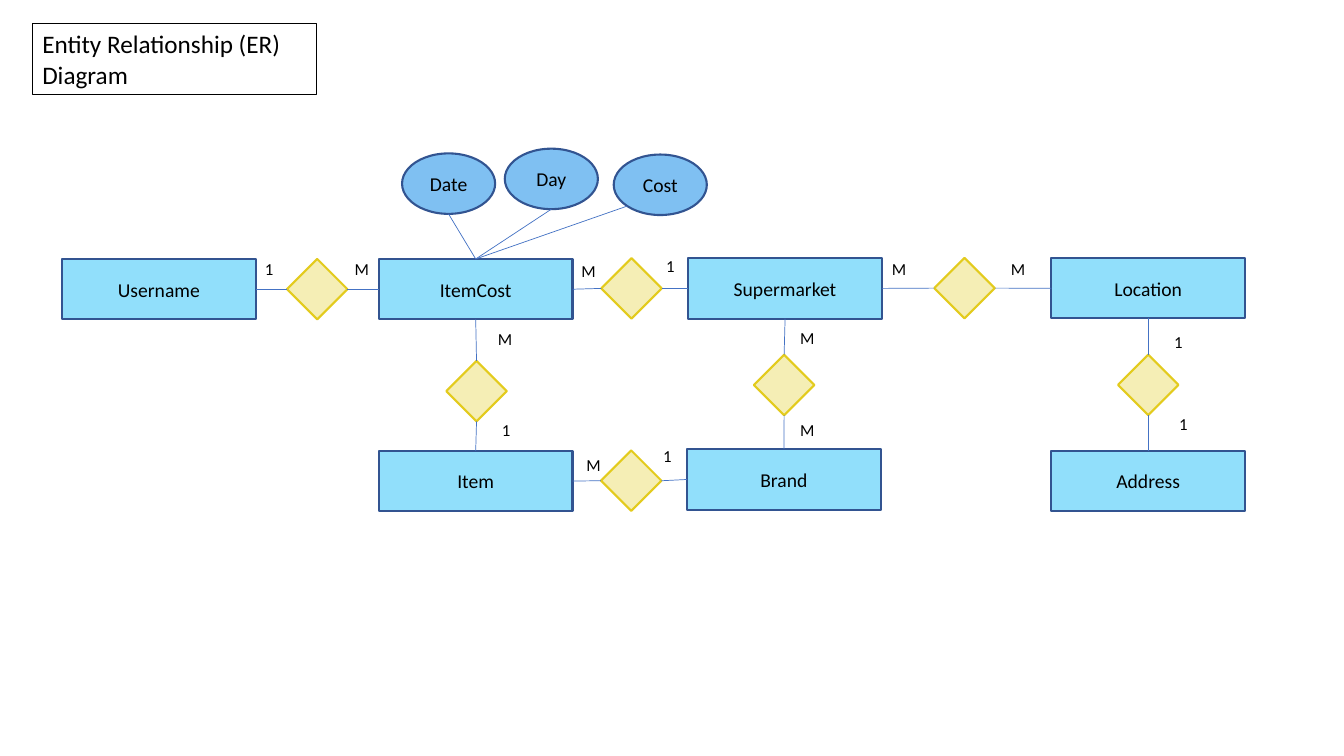
import pptx
import pptx.dml.color
import pptx.enum.shapes
import pptx.enum.text
import pptx.oxml.ns
import pptx.util
from lxml import etree

Pt = pptx.util.Pt
SHAPES = pptx.enum.shapes.MSO_SHAPE
ALIGN = pptx.enum.text.PP_ALIGN
ANCHOR = pptx.enum.text.MSO_ANCHOR
TOP, LEFT, BOTTOM, RIGHT = range(4)

COLORS = {
    "text": "000000",
    "entity": "24C0F8",
    "attribute": "0083E6",
    "outline": "325491",
    "diamond": "EDDE6D",
    "diamond_outline": "E3CB1D",
    "connector": "4472C4",
}

HEIGHT = 43.2  # shared by entities, diamonds and attributes
ENTITY_WIDTH = 138.4
ATTRIBUTE_WIDTH = 66.5

# name: left, top
ENTITIES = {
    "Username": (44.4, 185),
    "ItemCost": (270.6, 185),
    "Supermarket": (491.6, 184.4),
    "Location": (751, 184.3),
    "Item": (270.6, 322),
    "Brand": (490.8, 320.9),
    "Address": (751, 322),
}

# first entity, its side, second entity, its side, diamond position,
# then the cardinality at each end: text, left, top
RELATIONSHIPS = [
    ("Username", RIGHT, "ItemCost", LEFT, (205, 185),
     ("1", 182.2, 181.4), ("M", 246.2, 181.4)),
    ("ItemCost", RIGHT, "Supermarket", LEFT, (429.5, 184.4),
     ("M", 408.2, 182.5), ("1", 468.7, 179.3)),
    ("Supermarket", RIGHT, "Location", LEFT, (667.4, 184.2),
     ("M", 630, 181.4), ("M", 715, 181.4)),
    ("ItemCost", BOTTOM, "Item", TOP, (318.8, 257.8),
     ("M", 348.5, 231.1), ("1", 351.4, 295.9)),
    ("Supermarket", BOTTOM, "Brand", TOP, (538.5, 253.4),
     ("M", 564.5, 230.4), ("M", 564.5, 296.6)),
    ("Location", BOTTOM, "Address", TOP, (798.6, 253.4),
     ("1", 831.6, 233.3), ("1", 835.2, 292.3)),
    ("Item", RIGHT, "Brand", LEFT, (429.3, 321.8),
     ("M", 411.8, 321.1), ("1", 466.6, 314.6)),
]

# name: left, top, point where its line meets the ellipse
ATTRIBUTES = {
    "Date": (287.2, 109.6, (320.4, 152.8)),
    "Day": (360.6, 106.2, (393.9, 149.4)),
    "Cost": (438.4, 110.4, (448.1, 147.2)),
}


def color(name):
    return pptx.dml.color.RGBColor.from_string(COLORS[name])


def write(shape, text, size, align, anchor):
    frame = shape.text_frame
    frame.text = text
    frame.word_wrap = True
    frame.vertical_anchor = anchor
    paragraph = frame.paragraphs[0]
    paragraph.alignment = align
    font = paragraph.runs[0].font
    font.name = "Calibri"
    font.size = Pt(size)
    font.color.rgb = color("text")


def add_figure(slide, kind, left, top, width, fill, outline, text=None):
    """Add a half-transparent outlined shape, labelled if text is given."""
    shape = slide.shapes.add_shape(kind, Pt(left), Pt(top), Pt(width), Pt(HEIGHT))
    shape.shadow.inherit = False
    shape.fill.solid()
    shape.fill.fore_color.rgb = color(fill)
    qn = pptx.oxml.ns.qn
    fill_color = shape.fill._xPr.find(qn("a:solidFill")).find(qn("a:srgbClr"))
    etree.SubElement(fill_color, qn("a:alpha"), val="50000")
    shape.line.color.rgb = color(outline)
    shape.line.width = Pt(1.5)
    if text:
        write(shape, text, 14, ALIGN.CENTER, ANCHOR.MIDDLE)
    return shape


def add_line(slide, target, side, source=None, source_side=None, start=(0, 0)):
    """Join the target's side to a source shape's side or to a start point."""
    connector = slide.shapes.add_connector(
        pptx.enum.shapes.MSO_CONNECTOR.STRAIGHT,
        Pt(start[0]), Pt(start[1]), Pt(0), Pt(0))
    if source is not None:
        connector.begin_connect(source, source_side)
    connector.end_connect(target, side)
    connector.line.color.rgb = color("connector")
    connector.line.width = Pt(0.5)
    etree.SubElement(connector._element.spPr, pptx.oxml.ns.qn("a:effectLst"))


def add_cardinality(slide, text, left, top):
    box = slide.shapes.add_textbox(Pt(left), Pt(top), Pt(14.4), Pt(21.8))
    write(box, text, 12, ALIGN.LEFT, ANCHOR.TOP)


def add_title(slide, text):
    title = slide.shapes.title
    title.left, title.top = Pt(23), Pt(16.8)
    title.width, title.height = Pt(203.2), Pt(50.9)
    write(title, text, 18, ALIGN.LEFT, ANCHOR.TOP)
    title.text_frame.auto_size = pptx.enum.text.MSO_AUTO_SIZE.NONE
    title.line.color.rgb = color("text")
    title.line.width = Pt(0.75)


def main():
    presentation = pptx.Presentation()
    presentation.slide_width = Pt(960)
    presentation.slide_height = Pt(540)
    slide = presentation.slides.add_slide(presentation.slide_layouts[5])
    add_title(slide, "Entity Relationship (ER) Diagram")

    # Entities
    entities = {
        name: add_figure(slide, SHAPES.RECTANGLE, left, top, ENTITY_WIDTH,
                         "entity", "outline", name)
        for name, (left, top) in ENTITIES.items()
    }

    # Relationships with their cardinalities
    for first, first_side, second, second_side, place, *ends in RELATIONSHIPS:
        diamond = add_figure(slide, SHAPES.DIAMOND, *place, HEIGHT,
                             "diamond", "diamond_outline")
        add_line(slide, diamond, second_side, entities[first], first_side)
        add_line(slide, entities[second], second_side, diamond, first_side)
        for end in ends:
            add_cardinality(slide, *end)

    # Attributes of ItemCost
    for name, (left, top, start) in ATTRIBUTES.items():
        add_figure(slide, SHAPES.OVAL, left, top, ATTRIBUTE_WIDTH,
                   "attribute", "outline", name)
        add_line(slide, entities["ItemCost"], TOP, start=start)

    presentation.save("out.pptx")


if __name__ == "__main__":
    main()
